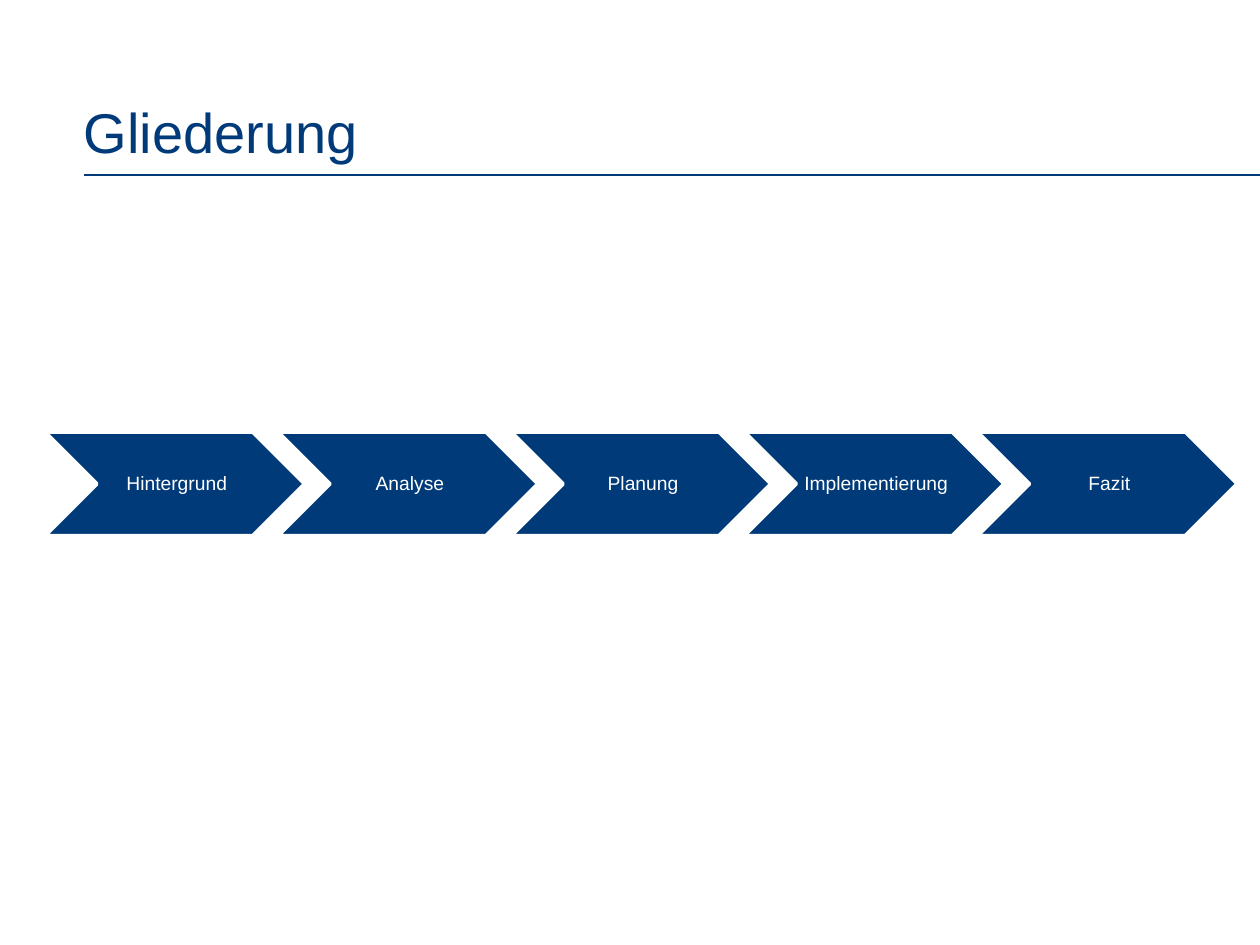
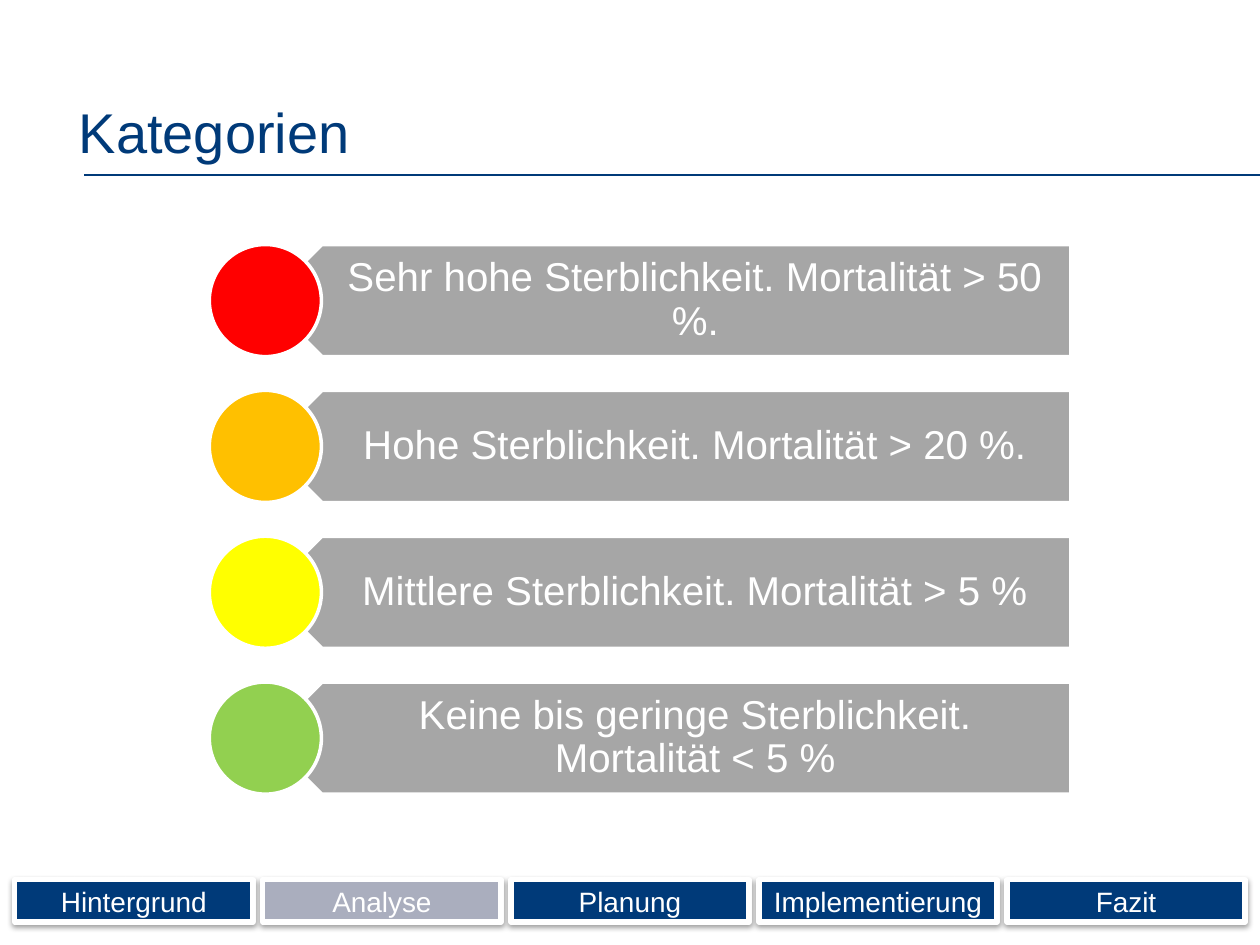
import dataclasses
import typing

import lxml.etree
import pptx
import pptx.dml.color
import pptx.enum.shapes
import pptx.enum.text
import pptx.oxml
import pptx.oxml.ns
import pptx.util

Cm = pptx.util.Cm
Pt = pptx.util.Pt
RGBColor = pptx.dml.color.RGBColor
Shape = pptx.enum.shapes.MSO_SHAPE
Align = pptx.enum.text.PP_ALIGN
Anchor = pptx.enum.text.MSO_ANCHOR

NAVY = RGBColor(0x00, 0x3A, 0x79)
PALE = RGBColor(0xAA, 0xAE, 0xBE)
GREY = RGBColor(0xA6, 0xA6, 0xA6)
WHITE = RGBColor(0xFF, 0xFF, 0xFF)
RED = RGBColor(0xFF, 0x00, 0x00)
ORANGE = RGBColor(0xFF, 0xC0, 0x00)
YELLOW = RGBColor(0xFF, 0xFF, 0x00)
GREEN = RGBColor(0x92, 0xD0, 0x50)

FONT = "Arial"
CHAPTERS = ("Hintergrund", "Analyse", "Planung", "Implementierung", "Fazit")

TAB_SHADOW = (
    f'<a:effectLst {pptx.oxml.ns.nsdecls("a")}>'
    '<a:outerShdw blurRad="40000" dist="20000" dir="5400000" rotWithShape="0">'
    '<a:srgbClr val="000000"><a:alpha val="38000"/></a:srgbClr>'
    "</a:outerShdw></a:effectLst>"
)


@dataclasses.dataclass(frozen=True)
class Box:
    """Place and size in centimetres."""

    left: float
    top: float
    width: float
    height: float

    def moved(self, right: float = 0, down: float = 0) -> "Box":
        return dataclasses.replace(self, left=self.left + right, top=self.top + down)

    def lengths(self) -> tuple[Cm, ...]:
        return tuple(Cm(value) for value in dataclasses.astuple(self))


@dataclasses.dataclass(frozen=True)
class TextStyle:
    """Margins run left, top, right, bottom in centimetres."""

    size: int
    margins: tuple[float, float, float, float]
    color: RGBColor = WHITE
    align: Align = Align.CENTER
    anchor: Anchor = Anchor.MIDDLE
    spacing: float = 1.0


@dataclasses.dataclass(frozen=True)
class Category:
    text: str
    color: RGBColor


TITLE_STYLE = TextStyle(32, (0.19, 0.24, 0.19, 0.13), NAVY, Align.LEFT, Anchor.TOP)
CHEVRON_STYLE = TextStyle(11, (0.12, 0.04, 0.04, 0.04), spacing=0.9)
BAR_STYLE = TextStyle(23, (0.99, 0.25, 0.46, 0.25), spacing=0.9)
TAB_STYLE = TextStyle(16, (0.2, 0.13, 0.2, 0.13))

TITLE_BOX = Box(1.5, 1.73, 20.5, 2.77)
FIRST_CHEVRON = Box(0.91, 8.71, 5.23, 2.09)
CHEVRON_PITCH = 4.7
FIRST_TAB = Box(0.3, 17.73, 4.8, 0.86)
TAB_PITCH = 5.0
FIRST_BAR = Box(5.36, 4.93, 16.23, 2.26)
FIRST_BAR_TEXT = Box(5.92, 4.93, 15.67, 2.26)
FIRST_LIGHT = Box(4.22, 4.93, 2.26, 2.26)
BAR_PITCH = 2.94

CATEGORIES = (
    Category("Sehr hohe Sterblichkeit. Mortalität > 50 %.", RED),
    Category("Hohe Sterblichkeit. Mortalität > 20 %.", ORANGE),
    Category("Mittlere Sterblichkeit. Mortalität > 5 %", YELLOW),
    Category("Keine bis geringe Sterblichkeit. Mortalität < 5 %", GREEN),
)


def apply_format(target: typing.Any, values: dict[str, typing.Any]) -> None:
    for name, value in values.items():
        setattr(target, name, value)


def write(shape: typing.Any, text: str, style: TextStyle) -> None:
    frame = shape.text_frame
    left, top, right, bottom = (Cm(margin) for margin in style.margins)
    apply_format(frame, {
        "word_wrap": True,
        "auto_size": pptx.enum.text.MSO_AUTO_SIZE.NONE,
        "vertical_anchor": style.anchor,
        "margin_left": left,
        "margin_top": top,
        "margin_right": right,
        "margin_bottom": bottom,
    })
    para = frame.paragraphs[0]
    apply_format(para, {"alignment": style.align, "line_spacing": style.spacing})
    span = para.add_run()
    span.text = text
    apply_format(span.font, {"name": FONT, "size": Pt(style.size)})
    span.font.color.rgb = style.color


def add_filled(page: typing.Any, kind: Shape, box: Box, color: RGBColor,
               outline: float = 2) -> typing.Any:
    """Add a preset shape with a white outline and no shadow."""
    shape = page.shapes.add_shape(kind, *box.lengths())
    shape.shadow.inherit = False
    shape.fill.solid()
    shape.fill.fore_color.rgb = color
    shape.line.color.rgb = WHITE
    shape.line.width = Pt(outline)
    return shape


def add_title_rule(page: typing.Any) -> None:
    """Draw the line under the title and hand it to the shared layout."""
    rule = page.shapes.add_connector(
        pptx.enum.shapes.MSO_CONNECTOR.STRAIGHT, Cm(1.7), Cm(3.53), Cm(25.4), Cm(3.53))
    rule.line.color.rgb = NAVY
    rule.line.width = Pt(0.75)
    lxml.etree.SubElement(rule.element.spPr, pptx.oxml.ns.qn("a:effectLst"))
    page.slide_layout.shapes.element.append(rule.element)


def add_page(deck: typing.Any, title: str, box: Box) -> typing.Any:
    page = deck.slides.add_slide(deck.slide_layouts.get_by_name("Title Only"))
    heading = page.shapes.title
    apply_format(heading, dict(zip(("left", "top", "width", "height"), box.lengths())))
    write(heading, title, TITLE_STYLE)
    return page


def add_chapter_chevrons(page: typing.Any) -> None:
    for index, chapter in enumerate(CHAPTERS):
        box = FIRST_CHEVRON.moved(right=index * CHEVRON_PITCH)
        write(add_filled(page, Shape.CHEVRON, box, NAVY), chapter, CHEVRON_STYLE)


def add_chapter_tabs(page: typing.Any, current: str) -> None:
    for index, chapter in enumerate(CHAPTERS):
        box = FIRST_TAB.moved(right=index * TAB_PITCH)
        color = PALE if chapter == current else NAVY
        tab = add_filled(page, Shape.RECTANGLE, box, color, outline=3)
        properties = tab.element.spPr
        properties.remove(properties.find(pptx.oxml.ns.qn("a:effectLst")))
        properties.append(pptx.oxml.parse_xml(TAB_SHADOW))
        write(tab, chapter, TAB_STYLE)


def add_categories(page: typing.Any) -> None:
    for index, category in enumerate(CATEGORIES):
        down = index * BAR_PITCH
        bar = add_filled(page, Shape.PENTAGON, FIRST_BAR.moved(down=down), GREY)
        bar.rotation = 180
        label = page.shapes.add_textbox(*FIRST_BAR_TEXT.moved(down=down).lengths())
        write(label, category.text, BAR_STYLE)
        add_filled(page, Shape.OVAL, FIRST_LIGHT.moved(down=down), category.color)


def main() -> None:
    deck = pptx.Presentation()
    apply_format(deck, {"slide_width": Cm(25.4), "slide_height": Cm(19.05)})

    outline = add_page(deck, "Gliederung", TITLE_BOX)
    add_title_rule(outline)
    add_chapter_chevrons(outline)

    categories = add_page(deck, "Kategorien", TITLE_BOX.moved(right=-0.1))
    add_chapter_tabs(categories, current="Analyse")
    add_categories(categories)

    deck.save("out.pptx")


if __name__ == "__main__":
    main()
